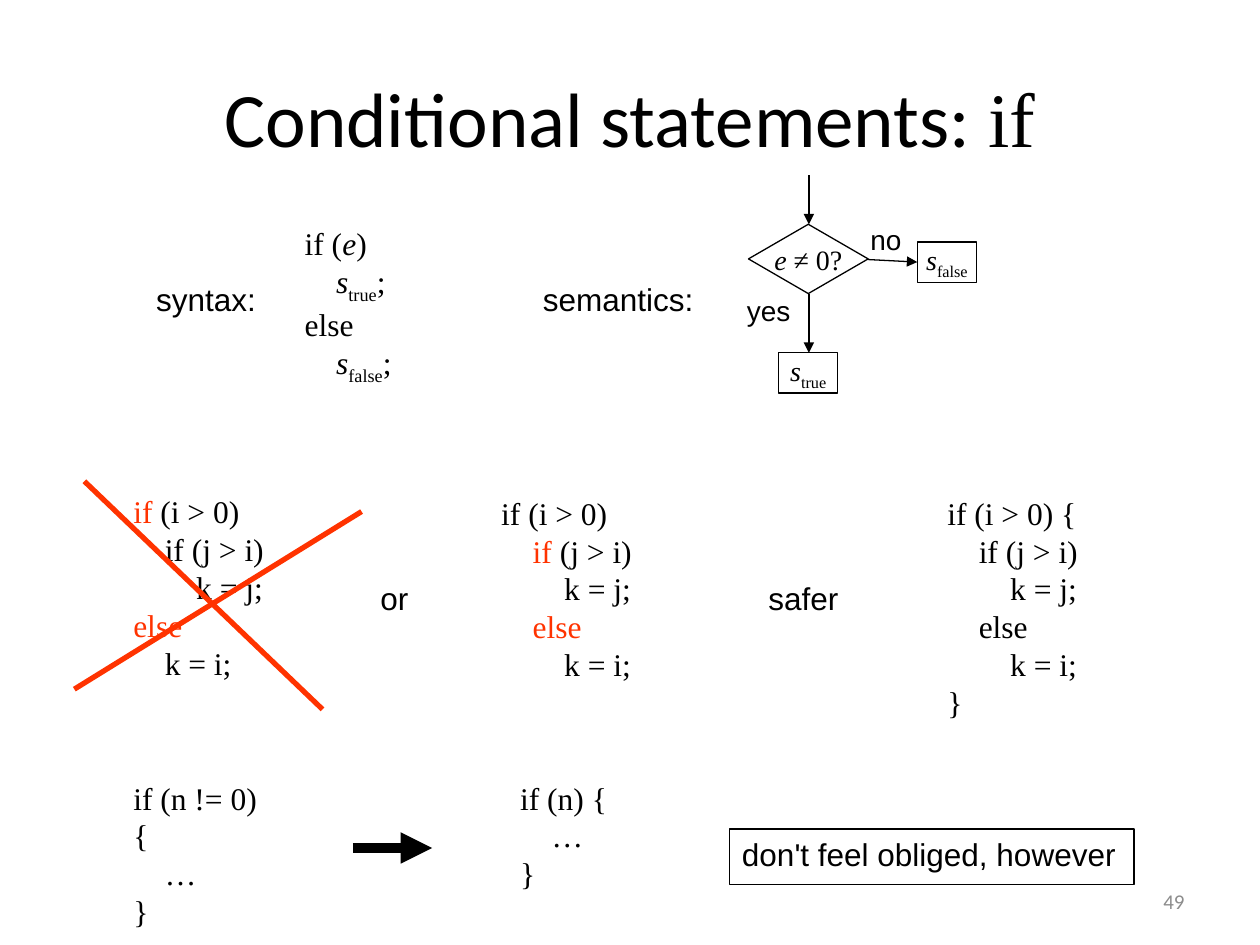
"""Build a slide on the syntax and meaning of the if statement."""
import pptx
import pptx.util
import pptx.dml.color
import pptx.enum.shapes
import pptx.enum.text
import pptx.oxml.ns
import lxml.etree

Inches = pptx.util.Inches
SHAPE = pptx.enum.shapes.MSO_SHAPE
ANCHOR = pptx.enum.text.MSO_ANCHOR
ALIGN = pptx.enum.text.PP_ALIGN
COLORS = {"black": "000000", "white": "FFFFFF", "red": "FF3300", "gray": "8C8C8C"}
SERIF = "Times New Roman"
SANS = "Arial"


def color(name):
    return pptx.dml.color.RGBColor.from_string(COLORS[name])


def style(run, kind):
    if kind == "ital":
        run.font.italic = True
    elif kind == "sub":
        run.font.italic = False
        run._r.get_or_add_rPr().set("baseline", "-25000")
    elif kind:
        run.font.color.rgb = color(kind)


def write(frame, lines, face, size, tint="black", align=ALIGN.LEFT):
    """Fill a frame; a line is a string or a list of strings and (text, kind) pairs."""
    for i, line in enumerate(lines):
        para = frame.add_paragraph() if i else frame.paragraphs[0]
        para.alignment = align
        para.font.name = face
        para.font.size = pptx.util.Pt(size)
        para.font.color.rgb = color(tint)
        for part in [line] if isinstance(line, str) else line:
            text, kind = (part, None) if isinstance(part, str) else part
            run = para.add_run()
            run.text = text
            style(run, kind)


def add_text(slide, box, lines, face=SERIF, size=18, wrap=False):
    frame = slide.shapes.add_textbox(*map(Inches, box)).text_frame
    frame.word_wrap = wrap
    write(frame, lines, face, size)


def add_node(slide, kind, box, line):
    node = slide.shapes.add_shape(kind, *map(Inches, box))
    node.shadow.inherit = False
    node.fill.solid()
    node.fill.fore_color.rgb = color("white")
    node.line.color.rgb = color("black")
    node.line.width = pptx.util.Pt(0.75)
    frame = node.text_frame
    frame.word_wrap = False
    frame.vertical_anchor = ANCHOR.MIDDLE
    write(frame, [line], SERIF, 16, align=ALIGN.CENTER)


def add_note(slide, box, text):
    note = slide.shapes.add_shape(SHAPE.RECTANGLE, *map(Inches, box))
    note.shadow.inherit = False
    note.fill.background()
    note.line.color.rgb = color("black")
    note.line.width = pptx.util.Pt(1)
    frame = note.text_frame
    frame.word_wrap = False
    frame.vertical_anchor = ANCHOR.TOP
    write(frame, [text], SANS, 18)


def add_line(slide, ends, tint="black", width=0.75, arrow=True):
    line = slide.shapes.add_connector(
        pptx.enum.shapes.MSO_CONNECTOR.STRAIGHT, *map(Inches, ends))
    line.line.color.rgb = color(tint)
    line.line.width = pptx.util.Pt(width)
    qn = pptx.oxml.ns.qn
    if arrow:
        lxml.etree.SubElement(line.line._get_or_add_ln(), qn("a:tailEnd"), type="triangle")
    lxml.etree.SubElement(line._element.spPr, qn("a:effectLst"))


def add_title(slide):
    title = slide.shapes.title
    title.left, title.top, title.width, title.height = map(Inches, (0.5, 0.3, 9, 1.25))
    title.text_frame.vertical_anchor = ANCHOR.MIDDLE
    write(title.text_frame, [["Conditional statements: ", "if"]], "Calibri", 44,
          align=ALIGN.CENTER)
    title.text_frame.paragraphs[0].runs[1].font.name = SERIF


def add_syntax(slide):
    add_text(slide, (1.14, 2.17, 0.99, 0.4), ["syntax:"], SANS)
    add_text(slide, (2.32, 1.73, 1.83, 1.3), [
        ["if (", ("e", "ital"), ")"],
        ["    ", ("s", "ital"), ("true", "sub"), ";"],
        "else",
        ["    ", ("s", "ital"), ("false", "sub"), ";"]], wrap=True)


def add_flow(slide):
    add_text(slide, (4.21, 2.17, 1.4, 0.4), ["semantics:"], SANS)
    add_node(slide, SHAPE.FLOWCHART_DECISION, (5.94, 1.78, 0.95, 0.55),
             [("e ", "ital"), "≠ 0?"])
    for left, top, name in ((6.18, 2.8, "true"), (7.28, 1.92, "false")):
        add_node(slide, SHAPE.FLOWCHART_PROCESS, (left, top, 0.47, 0.32),
                 [("s", "ital"), (name, "sub")])
    for ends in ((6.42, 1.39, 6.42, 1.78), (6.42, 2.33, 6.42, 2.8),
                 (6.89, 2.06, 7.28, 2.08)):
        add_line(slide, ends)
    add_text(slide, (5.83, 2.28, 0.55, 0.37), ["yes"], SANS, 16)
    add_text(slide, (6.81, 1.72, 0.45, 0.37), ["no"], SANS, 16)


def add_nested(slide):
    add_text(slide, (0.96, 3.86, 1.83, 1.6), [
        [("if", "red"), " (i > 0)"],
        "    if (j > i)",
        "        k = j;",
        [("else", "red")],
        "    k = i;"], wrap=True)
    add_text(slide, (3.88, 3.87, 1.83, 1.6), [
        "if (i > 0)",
        ["    ", ("if", "red"), " (j > i)"],
        "        k = j;",
        ["    ", ("else", "red")],
        "        k = i;"], wrap=True)
    add_text(slide, (7.42, 3.87, 1.83, 1.9), [
        "if (i > 0) {",
        "    if (j > i)",
        "        k = j;",
        "    else",
        "        k = i;",
        "}"], wrap=True)
    add_text(slide, (2.92, 4.55, 0.42, 0.4), ["or"], SANS)
    add_text(slide, (6, 4.55, 0.76, 0.4), ["safer"], SANS)
    for ends in ((0.67, 3.82, 2.56, 5.63), (0.59, 5.47, 2.87, 4.06)):
        add_line(slide, ends, "red", 3, arrow=False)


def add_short(slide):
    for left, width, test in ((0.96, 1.36, "n != 0"), (4.03, 0.89, "n")):
        add_text(slide, (left, 6.13, width, 1), [f"if ({test}) {{", "    …", "}"])
    add_line(slide, (2.8, 6.73, 3.43, 6.73), width=6)
    add_note(slide, (5.79, 6.58, 3.21, 0.44), "don't feel obliged, however")


def add_number(slide):
    frame = slide.shapes.add_textbox(*map(Inches, (7.17, 6.95, 2.33, 0.4))).text_frame
    frame.word_wrap = True
    frame.vertical_anchor = ANCHOR.MIDDLE
    write(frame, ["49"], "Calibri", 12, "gray", ALIGN.RIGHT)


def main():
    deck = pptx.Presentation()
    deck.slide_width, deck.slide_height = Inches(10), Inches(7.5)
    slide = deck.slides.add_slide(deck.slide_layouts[5])
    for add in (add_title, add_syntax, add_flow, add_nested, add_short, add_number):
        add(slide)
    deck.save("out.pptx")


if __name__ == "__main__":
    main()
